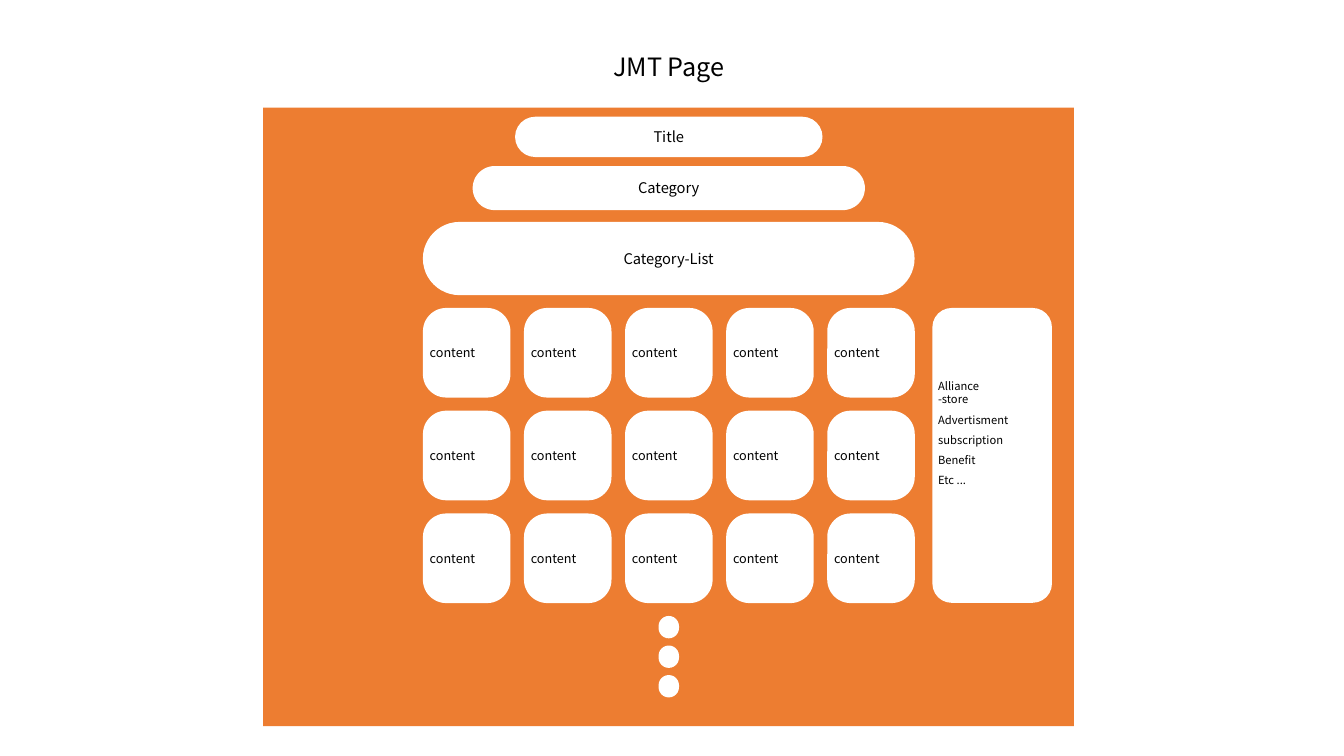
from dataclasses import dataclass

from pptx import Presentation
from pptx import util as u
from pptx.dml import color
from pptx.enum import shapes, text

FONT = "Noto Sans CJK KR"
ORANGE, WHITE, BLACK = "ED7D31", "FFFFFF", "000000"
CENTER = 477.7
RECT = shapes.MSO_SHAPE.RECTANGLE
ROUNDED = shapes.MSO_SHAPE.ROUNDED_RECTANGLE
MIDDLE, JUSTIFY = text.PP_ALIGN.CENTER, text.PP_ALIGN.JUSTIFY


@dataclass
class Block:
    left: float
    top: float
    width: float
    height: float
    radius: float = 0.5
    fill: str = WHITE


@dataclass
class Bar:
    label: str
    top: float
    width: float
    height: float


def rgb(value: str) -> color.RGBColor:
    return color.RGBColor.from_string(value)


def draw_block(parent, block: Block, preset=ROUNDED):
    shape = parent.add_shape(preset, u.Pt(block.left), u.Pt(block.top),
                             u.Pt(block.width), u.Pt(block.height))
    shape.shadow.inherit = False
    shape.fill.solid()
    shape.fill.fore_color.rgb = rgb(block.fill)
    shape.line.fill.background()
    if preset == ROUNDED:
        shape.adjustments[0] = block.radius
    return shape


def write_line(paragraph, wording: str, *, size: float, align=None, spacing=None) -> None:
    run = paragraph.add_run()
    run.text = wording
    run.font.size = u.Pt(size)
    run.font.name = FONT
    run.font.color.rgb = rgb(BLACK)
    paragraph.alignment = align
    paragraph.line_spacing = spacing


def fit_tightly(frame, bottom: float = 0) -> None:
    frame.word_wrap = False
    frame.vertical_anchor = text.MSO_ANCHOR.MIDDLE
    frame.margin_left = frame.margin_right = frame.margin_top = 0
    frame.margin_bottom = u.Pt(bottom)


def draw_heading(slide) -> None:
    heading = slide.shapes.add_textbox(u.Pt(363.7), u.Pt(33.1), u.Pt(228), u.Pt(29))
    frame = heading.text_frame
    frame.word_wrap = True
    frame.auto_size = text.MSO_AUTO_SIZE.SHAPE_TO_FIT_TEXT
    write_line(frame.paragraphs[0], "JMT Page", size=18, align=MIDDLE)


def draw_bars(parent) -> None:
    for bar in (Bar("Title", 83.4, 219.6, 28.8),
                Bar("Category", 118.6, 280.2, 31.5),
                Bar("Category-List", 158.5, 351.2, 52.3)):
        block = Block(CENTER - bar.width / 2, bar.top, bar.width, bar.height)
        frame = draw_block(parent, block).text_frame
        frame.vertical_anchor = text.MSO_ANCHOR.MIDDLE
        write_line(frame.paragraphs[0], bar.label, size=10.5, align=MIDDLE)


def draw_contents(parent) -> None:
    for row in range(3):
        for column in range(5):
            tile = Block(302.1 + column * 72.2, 220 + row * 73.4, 62.5, 64, 0.267)
            frame = draw_block(parent, tile).text_frame
            fit_tightly(frame)
            write_line(frame.paragraphs[0], "content", size=9, align=JUSTIFY)


def draw_dots(parent) -> None:
    for index in range(3):
        draw_block(parent, Block(470.4, 440 + index * 21.1, 14.6, 16))


def draw_sidebar(parent) -> None:
    frame = draw_block(parent, Block(666, 220, 85.4, 210.6, 0.161)).text_frame
    fit_tightly(frame, bottom=32)
    entries = ("Alliance", "-store", "Advertisment", "subscription", "Benefit", "Etc ...")
    for index, entry in enumerate(entries):
        paragraph = frame.add_paragraph() if index else frame.paragraphs[0]
        if index < 2:
            write_line(paragraph, entry, size=8, align=JUSTIFY)
        else:
            write_line(paragraph, entry, size=8, align=text.PP_ALIGN.LEFT, spacing=1.5)


def main() -> None:
    deck = Presentation()
    deck.slide_width, deck.slide_height = u.Pt(960), u.Pt(540)
    slide = deck.slides.add_slide(deck.slide_layouts[6])
    draw_heading(slide)
    page = slide.shapes.add_group_shape().shapes
    draw_block(page, Block(187.9, 77, 579.3, 441.8, fill=ORANGE), RECT)
    draw_bars(page)
    draw_contents(page)
    draw_dots(page)
    draw_sidebar(page)
    deck.save("out.pptx")


if __name__ == "__main__":
    main()
